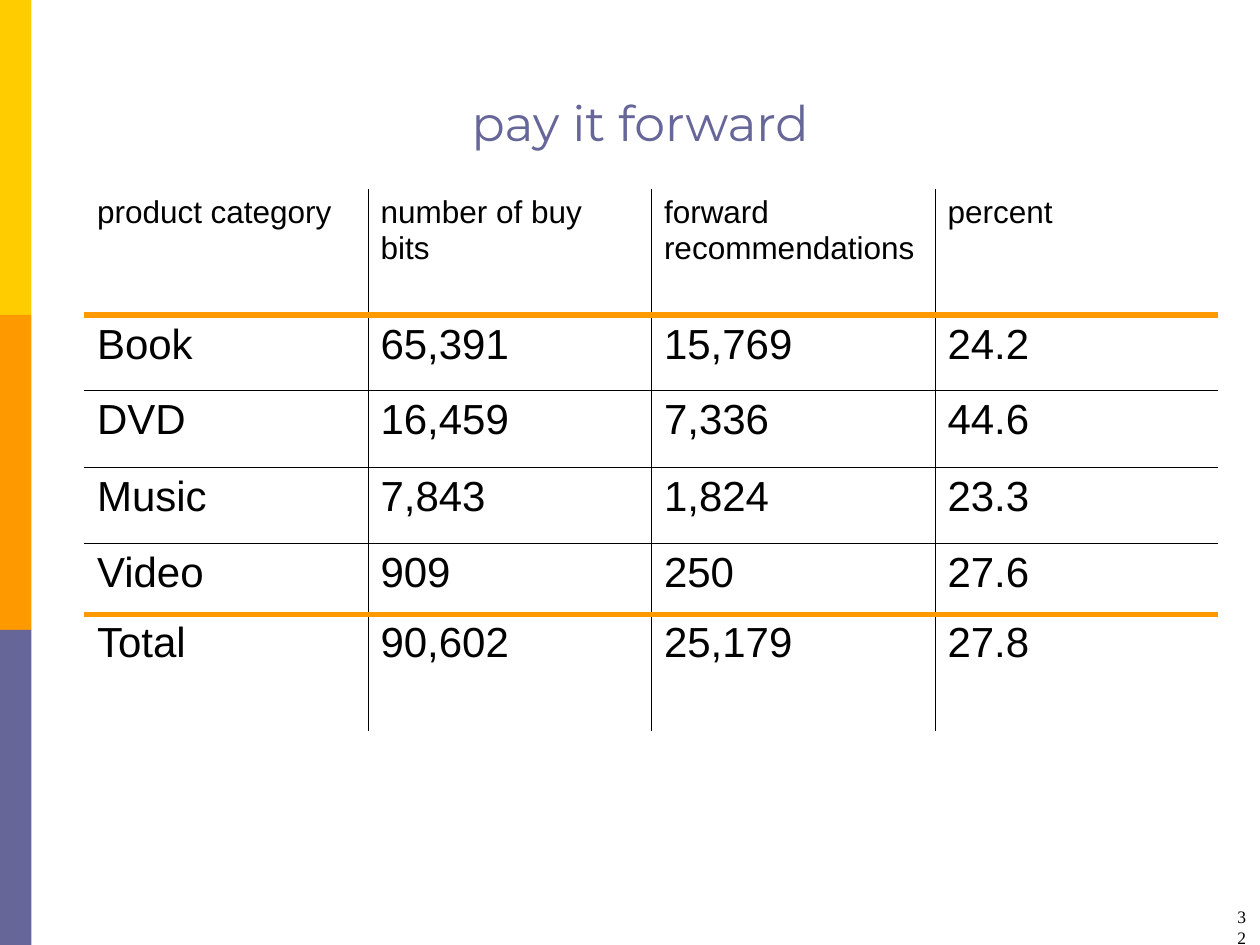
from dataclasses import dataclass

from lxml import etree
from pptx import Presentation
from pptx.dml.color import RGBColor
from pptx.enum.shapes import MSO_CONNECTOR, MSO_SHAPE
from pptx.enum.text import MSO_ANCHOR, MSO_AUTO_SIZE, PP_ALIGN
from pptx.oxml.ns import qn
from pptx.util import Inches, Pt

RECTANGLE = MSO_SHAPE.RECTANGLE
STRAIGHT = MSO_CONNECTOR.STRAIGHT
LEFT, CENTER, RIGHT = PP_ALIGN.LEFT, PP_ALIGN.CENTER, PP_ALIGN.RIGHT
TOP, BOTTOM = MSO_ANCHOR.TOP, MSO_ANCHOR.BOTTOM
NO_AUTOFIT = MSO_AUTO_SIZE.NONE
TITLE_ONLY = 5


@dataclass(frozen=True)
class Theme:
    yellow: str = "FFCC00"
    orange: str = "FF9900"
    violet: str = "666699"
    black: str = "000000"
    title_font: str = "Montserrat"
    body_font: str = "Arial"
    number_font: str = "Times New Roman"
    title_size: float = 28
    header_size: float = 18
    value_size: float = 24
    number_size: float = 10
    grid_width: float = 0.45
    rule_width: float = 3


THEME = Theme()

ROWS = [
    ("product category", "number of buy bits", "forward recommendations", "percent"),
    ("Book", "65,391", "15,769", "24.2"),
    ("DVD", "16,459", "7,336", "44.6"),
    ("Music", "7,843", "1,824", "23.3"),
    ("Video", "909", "250", "27.6"),
    ("Total", "90,602", "25,179", "27.8"),
]
ROW_HEIGHTS = [1, 0.6, 0.61, 0.6, 0.56, 0.93]
TABLE_LEFT, TABLE_TOP, TABLE_WIDTH = 0.67, 1.5, 9


def write_text(frame, text, *, size, font, color=THEME.black, align=LEFT, indent=0):
    paragraph = frame.paragraphs[0]
    paragraph.alignment = align
    if indent:
        properties = paragraph._p.get_or_add_pPr()
        properties.set("marL", str(Inches(indent)))
        properties.set("indent", "0")
    run = paragraph.add_run()
    run.text = text
    run.font.size = Pt(size)
    run.font.name = font
    run.font.bold = False
    run.font.color.rgb = RGBColor.from_string(color)


def add_side_bands(slide):
    colors = (THEME.yellow, THEME.orange, THEME.violet)
    height = 7.5 / len(colors)
    for index, color in enumerate(colors):
        band = slide.shapes.add_shape(
            RECTANGLE, 0, Inches(index * height), Inches(0.25), Inches(height))
        band.shadow.inherit = False
        band.fill.solid()
        band.fill.fore_color.rgb = RGBColor.from_string(color)
        band.line.fill.background()


def add_title(slide, text):
    title = slide.shapes.title
    title.left, title.top = Inches(0.58), Inches(0.25)
    title.width, title.height = Inches(9), Inches(1)
    frame = title.text_frame
    frame.auto_size = NO_AUTOFIT
    frame.vertical_anchor = BOTTOM
    write_text(frame, text, size=THEME.title_size, font=THEME.title_font,
               color=THEME.violet, align=CENTER)


def set_borders(cell, visible_sides):
    properties = cell._tc.get_or_add_tcPr()
    for side in "LRTB":
        border = etree.SubElement(properties, qn(f"a:ln{side}"),
                                  w=str(Pt(THEME.grid_width)))
        if side in visible_sides:
            fill = etree.SubElement(border, qn("a:solidFill"))
            etree.SubElement(fill, qn("a:srgbClr"), val=THEME.black)
        else:
            etree.SubElement(border, qn("a:noFill"))


def add_category_table(slide):
    row_count, column_count = len(ROWS), len(ROWS[0])
    table = slide.shapes.add_table(
        row_count, column_count, Inches(TABLE_LEFT), Inches(TABLE_TOP),
        Inches(TABLE_WIDTH), Inches(sum(ROW_HEIGHTS))).table
    table.first_row = table.horz_banding = False
    for column in table.columns:
        column.width = Inches(TABLE_WIDTH / column_count)
    for r, (values, height) in enumerate(zip(ROWS, ROW_HEIGHTS)):
        table.rows[r].height = Inches(height)
        size = THEME.value_size if r else THEME.header_size
        for c, value in enumerate(values):
            cell = table.cell(r, c)
            # Only the inner grid lines show
            inner = {"L": c > 0, "R": c < column_count - 1,
                     "T": r > 0, "B": r < row_count - 1}
            set_borders(cell, [side for side, shown in inner.items() if shown])
            cell.fill.background()
            cell.vertical_anchor = TOP
            write_text(cell.text_frame, value, size=size, font=THEME.body_font)


def add_rule(slide, y):
    rule = slide.shapes.add_connector(
        STRAIGHT, Inches(TABLE_LEFT), Inches(y),
        Inches(TABLE_LEFT + TABLE_WIDTH), Inches(y))
    rule.line.color.rgb = RGBColor.from_string(THEME.orange)
    rule.line.width = Pt(THEME.rule_width)
    etree.SubElement(rule._element.spPr, qn("a:effectLst"))


def add_slide_number(slide, number):
    box = slide.shapes.add_textbox(Inches(9.55), Inches(7.14), Inches(0.42), Inches(0.33))
    box.text_frame.word_wrap = True
    write_text(box.text_frame, number, size=THEME.number_size,
               font=THEME.number_font, align=RIGHT, indent=0.24)


def main():
    deck = Presentation()
    deck.slide_width, deck.slide_height = Inches(10), Inches(7.5)
    slide = deck.slides.add_slide(deck.slide_layouts[TITLE_ONLY])

    # Frame of the slide
    add_side_bands(slide)
    add_title(slide, "pay it forward")

    # Table, with rules below the header and above the total
    add_category_table(slide)
    for y in (4.88, 2.5):
        add_rule(slide, y)

    add_slide_number(slide, "32")
    deck.save("out.pptx")


if __name__ == "__main__":
    main()
